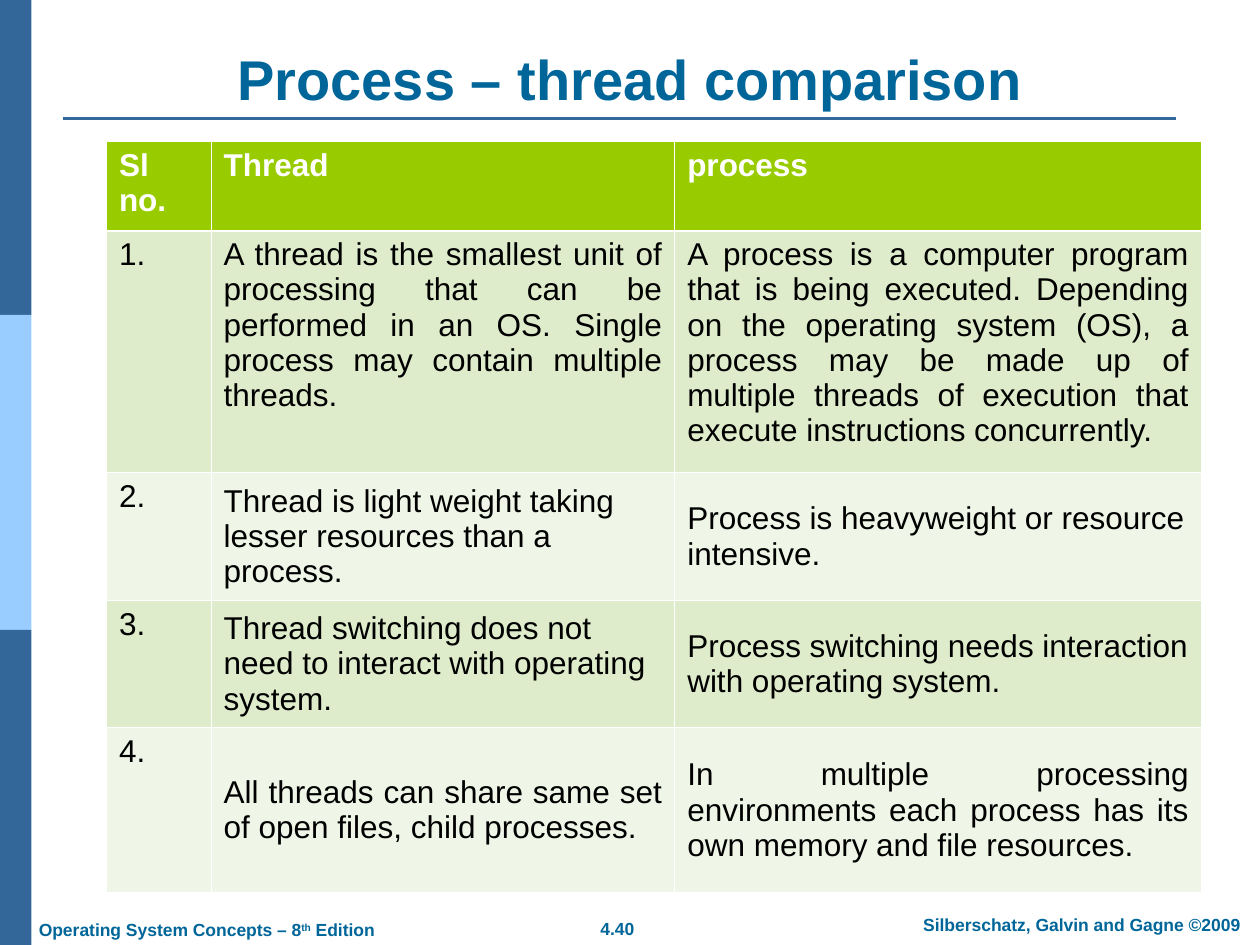
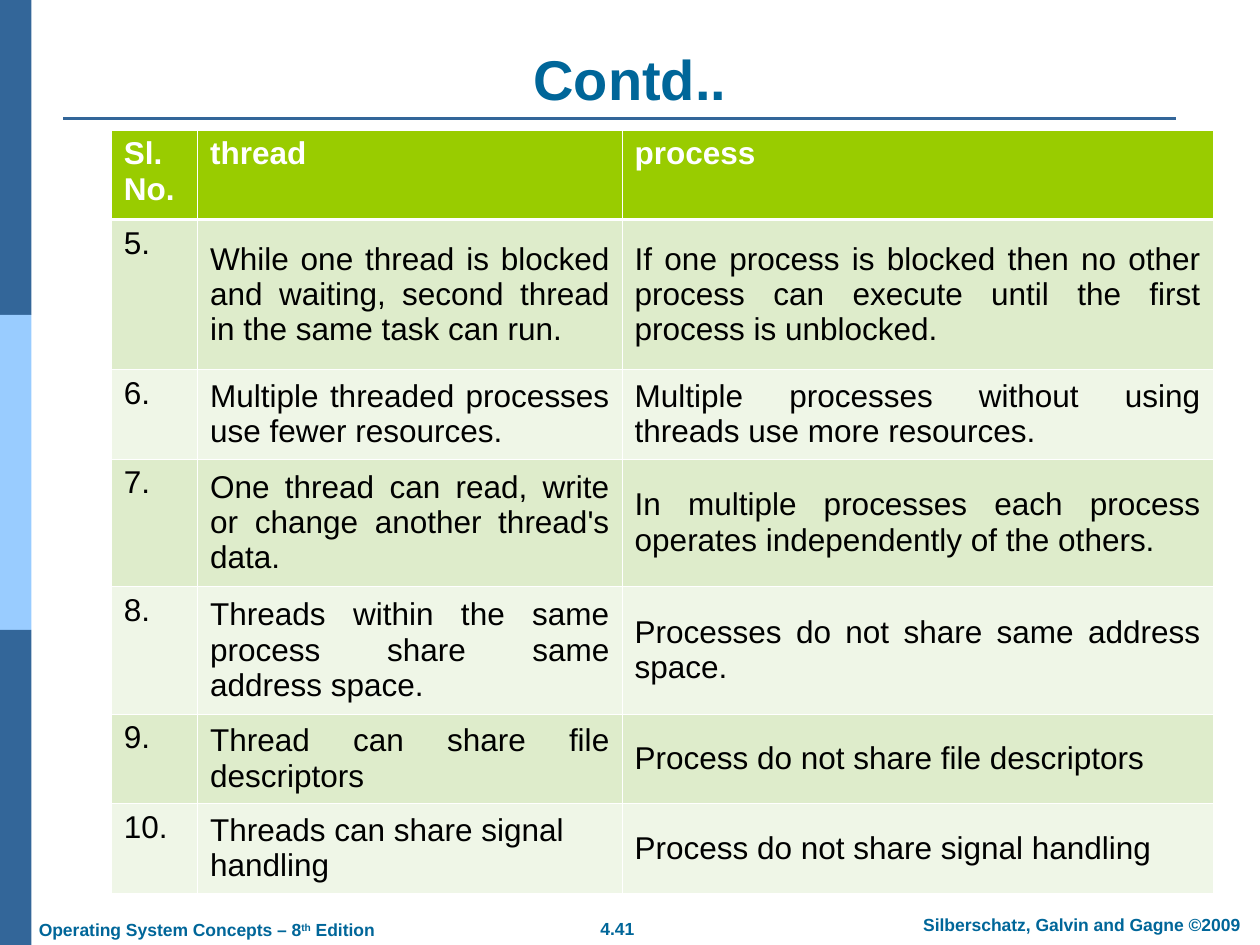
from lxml import etree
from pptx import Presentation
from pptx.dml.color import RGBColor
from pptx.enum.shapes import MSO_CONNECTOR, MSO_SHAPE
from pptx.enum.text import MSO_ANCHOR, MSO_AUTO_SIZE, PP_ALIGN
from pptx.oxml.ns import qn
from pptx.util import Inches, Pt

LEFT, MID, JUST = PP_ALIGN.LEFT, PP_ALIGN.CENTER, PP_ALIGN.JUSTIFY
TOP, HALF, LOW = MSO_ANCHOR.TOP, MSO_ANCHOR.MIDDLE, MSO_ANCHOR.BOTTOM
RECT, LINE = MSO_SHAPE.RECTANGLE, MSO_CONNECTOR.STRAIGHT
FIXED = MSO_AUTO_SIZE.NONE

WIDE, HIGH = Inches(10), Inches(7.5)
FONT = "Arial"
INK, DARK, PALE = "006699", "336699", "99CCFF"
WHITE, BLACK = "FFFFFF", "000000"
HEAD, ROWS = "99CC00", ("DEECCB", "EFF6E7")
THIN, THICK = 0.45, 1.47

FIRST = [
    (9.47, TOP, LEFT, "Sl no.", "Thread", "process"),
    (25.6, TOP, JUST, "1.",
     "A thread is the smallest unit of processing that can be performed in an OS. "
     "Single process may contain multiple threads.",
     "A process is a computer program that is being executed. Depending on the "
     "operating system (OS), a process may be made up of multiple threads of "
     "execution that execute instructions concurrently."),
    (13.5, HALF, LEFT, "2.",
     "Thread is light weight taking lesser resources than a process.",
     "Process is heavyweight or resource intensive."),
    (13.5, HALF, LEFT, "3.",
     "Thread switching does not need to interact with operating system.",
     "Process switching needs interaction with operating system."),
    (17.47, HALF, JUST, "4.",
     "All threads can share same set of open files, child processes.",
     "In multiple processing environments each process has its own memory and "
     "file resources."),
]
NEXT = [
    (9.47, TOP, LEFT, "Sl. No.", "thread", "process"),
    (15.87, HALF, JUST, "5.",
     "While one thread is blocked and waiting, second thread in the same task can run.",
     "If one process is blocked then no other process can execute until the first "
     "process is unblocked."),
    (9.47, HALF, JUST, "6.",
     "Multiple threaded processes use fewer resources.",
     "Multiple processes without using threads use more resources."),
    (13.5, HALF, JUST, "7.",
     "One thread can read, write or change another thread's data.",
     "In multiple processes each process operates independently of the others."),
    (13.5, HALF, JUST, "8.",
     "Threads within the same process share same address space.",
     "Processes do not share same address space."),
    (9.47, HALF, JUST, "9.",
     "Thread can share file descriptors",
     "Process do not share file descriptors"),
    (9.47, HALF, LEFT, "10.",
     "Threads can share signal handling",
     "Process do not share signal handling"),
]


def color(code):
    """Turn a hex string into a colour."""
    return RGBColor.from_string(code)


def across(share):
    """Give a percentage of the slide's width."""
    return round(WIDE * share / 100)


def down(share):
    """Give a percentage of the slide's height."""
    return round(HIGH * share / 100)


def area(x, y, w, h):
    """Turn percentages of the slide into a left, top, width and height."""
    return across(x), down(y), across(w), down(h)


def write(frame, runs, size, code, bold=True, align=LEFT):
    """Write runs of (text, raised) as one paragraph."""
    para = frame.paragraphs[0]
    para.alignment = align
    for text, raised in runs:
        run = para.add_run()
        run.text = text
        font = run.font
        font.name, font.size, font.bold = FONT, Pt(size), bold
        font.color.rgb = color(code)
        if raised:
            run._r.get_or_add_rPr().set("baseline", "30000")


def band(slide, row, code):
    """Draw one third of the side band."""
    third = HIGH // 3
    shape = slide.shapes.add_shape(RECT, 0, row * third, across(2.5), third)
    shape.shadow.inherit = False
    shape.fill.solid()
    shape.fill.fore_color.rgb = color(code)
    shape.line.fill.background()


def rule(slide):
    """Draw the line under the title."""
    y = down(12.53)
    line = slide.shapes.add_connector(LINE, across(5), y, across(93.3), y)
    line.line.color.rgb = color(DARK)
    line.line.width = Pt(1.5)
    etree.SubElement(line._element.spPr, qn("a:effectLst"))


def note(slide, box, runs, align=MID):
    """Add one footer text."""
    frame = slide.shapes.add_textbox(*area(*box)).text_frame
    frame.word_wrap = True
    write(frame, runs, 10, INK, align=align)


def base(deck, title, page):
    """Add a slide with bands, rule, footers and title."""
    slide = deck.slides.add_slide(deck.slide_layouts[5])
    for row, code in enumerate((DARK, PALE, DARK)):
        band(slide, row, code)
    rule(slide)
    note(slide, (44.1, 96.45, 9.8, 3.6), [(page, False)])
    note(slide, (71, 96.05, 29.7, 3.6),
         [("Silberschatz, Galvin and Gagne ©2009", False)])
    note(slide, (2.1, 96.6, 31, 3.6),
         [("Operating System Concepts – 8", False), ("th", True), (" Edition", False)],
         align=LEFT)
    head = slide.shapes.title
    head.left, head.top, head.width, head.height = area(5, 4.1, 90, 8.4)
    frame = head.text_frame
    frame.auto_size, frame.vertical_anchor = FIXED, LOW
    write(frame, [(title, False)], 32, INK, align=MID)
    return slide


def edge(cell, row):
    """Draw white borders, thicker between header and body."""
    props = cell._tc.get_or_add_tcPr()
    for side in "LRTB":
        thick = (row, side) in ((0, "B"), (1, "T"))
        line = etree.SubElement(props, qn("a:ln" + side),
                                w=str(Pt(THICK if thick else THIN)))
        fill = etree.SubElement(line, qn("a:solidFill"))
        etree.SubElement(fill, qn("a:srgbClr"), val=WHITE)


def grid(slide, x, y, cols, rows):
    """Add a comparison table whose rows hold height, anchor, alignment and texts."""
    tall = sum(row[0] for row in rows)
    table = slide.shapes.add_table(len(rows), len(cols),
                                   *area(x, y, sum(cols), tall)).table
    for col, wide in enumerate(cols):
        table.columns[col].width = across(wide)
    for r, (height, anchor, align, *texts) in enumerate(rows):
        table.rows[r].height = down(height)
        for c, text in enumerate(texts):
            cell = table.cell(r, c)
            edge(cell, r)
            cell.fill.solid()
            cell.fill.fore_color.rgb = color(ROWS[(r - 1) % 2] if r else HEAD)
            cell.vertical_anchor = anchor if c else TOP
            write(cell.text_frame, [(text, False)], 18, BLACK if r else WHITE,
                  bold=r == 0, align=align if c else LEFT)


def main():
    """Build both slides and save them."""
    deck = Presentation()
    deck.slide_width, deck.slide_height = WIDE, HIGH
    slide = base(deck, "Process – thread comparison", "4.40")
    grid(slide, 8.45, 14.95, (8.3, 36.8, 41.8), FIRST)
    slide = base(deck, "Contd..", "4.41")
    grid(slide, 8.83, 13.75, (6.85, 33.7, 46.9), NEXT)
    deck.save("out.pptx")


if __name__ == "__main__":
    main()
